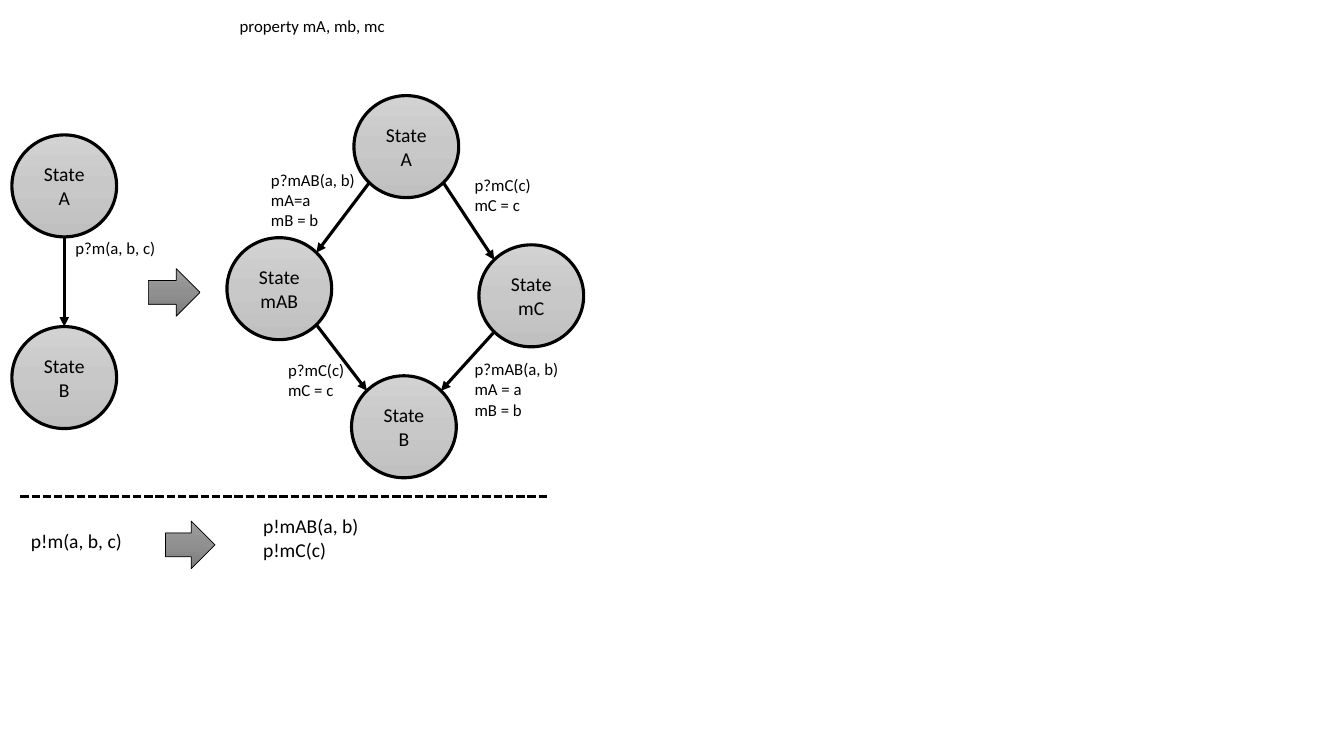
from copy import deepcopy
from math import cos, radians, sin

from lxml import etree
from pptx import Presentation
from pptx.dml.color import RGBColor
from pptx.enum.dml import MSO_LINE
from pptx.enum.shapes import MSO_CONNECTOR, MSO_SHAPE
from pptx.enum.text import MSO_ANCHOR, MSO_AUTO_SIZE, PP_ALIGN
from pptx.oxml.ns import qn
from pptx.util import Cm, Pt

OVAL = MSO_SHAPE.OVAL
ARROW = MSO_SHAPE.RIGHT_ARROW
STRAIGHT = MSO_CONNECTOR.STRAIGHT
DASH = MSO_LINE.SQUARE_DOT
MIDDLE = MSO_ANCHOR.MIDDLE
CENTER = PP_ALIGN.CENTER
GROW = MSO_AUTO_SIZE.SHAPE_TO_FIT_TEXT

FONT = "Calibri"
BLACK = "000000"
PALE = ("D2D2D2", "C8C8C8", "C0C0C0")
DARK = ("9D9D9D", "909090", "7C7C7C")
STATE_W, STATE_H = 2.64, 2.57

# Connection sites of an ellipse, counted anticlockwise from the top
TOP, TOP_LEFT, LOW_LEFT, BOTTOM, LOW_RIGHT, TOP_RIGHT = 0, 1, 3, 4, 5, 7


def paint(color, value):
    """Set a colour from a hex string."""
    color.rgb = RGBColor.from_string(value)


def shade(shape, colors):
    """Fill a shape with a downward gradient of three colours."""
    shape.fill.gradient()
    shape.fill.gradient_angle = 270
    stops = shape.element.spPr.find(".//" + qn("a:gsLst"))
    stops.insert(1, deepcopy(stops[0]))
    for stop, color, place in zip(shape.fill.gradient_stops, colors, (0, 0.5, 1)):
        paint(stop.color, color)
        stop.position = place


def style(frame, size):
    """Give all text of a frame its font, size and colour."""
    for para in frame.paragraphs:
        for run in para.runs:
            run.font.name = FONT
            run.font.size = Pt(size)
            paint(run.font.color, BLACK)


def add_solid(slide, kind, box, colors, weight):
    """Add a shaded shape with a black outline."""
    shape = slide.shapes.add_shape(kind, *map(Cm, box))
    shape.shadow.inherit = False
    shade(shape, colors)
    paint(shape.line.color, BLACK)
    shape.line.width = Pt(weight)
    return shape


def add_state(slide, name, left, top):
    """Add a state circle whose name wraps inside it."""
    state = add_solid(slide, OVAL, (left, top, STATE_W, STATE_H), PALE, 2.25)
    frame = state.text_frame
    frame.text = name
    frame.word_wrap = True
    frame.vertical_anchor = MIDDLE
    frame.paragraphs[0].alignment = CENTER
    style(frame, 14)
    return state


def add_label(slide, text, box, size=12):
    """Add an unwrapped label, one paragraph to each line of text."""
    frame = slide.shapes.add_textbox(*map(Cm, box)).text_frame
    frame.text = text
    frame.word_wrap = False
    frame.auto_size = GROW
    style(frame, size)


def add_line(slide, start, end, weight):
    """Add a plain black line between two points."""
    line = slide.shapes.add_connector(STRAIGHT, *start, *end)
    paint(line.line.color, BLACK)
    line.line.width = Pt(weight)
    etree.SubElement(line.element.spPr, qn("a:effectLst"))
    return line


def find_site(state, site):
    """Return the point of a connection site on a state circle."""
    angle = radians(90 + 45 * site)
    x = state.left + state.width / 2 * (1 + cos(angle))
    y = state.top + state.height / 2 * (1 - sin(angle))
    return round(x), round(y)


def add_step(slide, source, start, target, end):
    """Add an arrow glued to the sites of two states."""
    line = add_line(slide, find_site(source, start), find_site(target, end), 2.25)
    props = line.element.find(".//" + qn("p:cNvCxnSpPr"))
    for tag, state, site in (("a:stCxn", source, start), ("a:endCxn", target, end)):
        etree.SubElement(props, qn(tag), id=str(state.shape_id), idx=str(site))
    etree.SubElement(line.line._get_or_add_ln(), qn("a:tailEnd"), type="triangle")


def add_before(slide):
    """Draw the single transition on the left."""
    first = add_state(slide, "State A", 0.3, 3.4)
    last = add_state(slide, "State B", 0.3, 8.23)
    add_step(slide, first, BOTTOM, last, TOP)
    add_label(slide, "p?m(a, b, c)", (1.65, 5.87, 2.54, 0.76))


def add_after(slide):
    """Draw the diamond of split transitions."""
    first = add_state(slide, "State A", 8.92, 2.41)
    right = add_state(slide, "State mC", 12.07, 6.17)
    left = add_state(slide, "State mAB", 5.72, 5.99)
    last = add_state(slide, "State B", 8.86, 9.47)
    add_step(slide, first, LOW_LEFT, left, TOP_RIGHT)
    add_step(slide, left, LOW_RIGHT, last, TOP_LEFT)
    add_step(slide, right, LOW_LEFT, last, TOP_RIGHT)
    add_step(slide, first, LOW_RIGHT, right, TOP_LEFT)
    add_label(slide, "p?mAB(a, b)\nmA=a\nmB = b", (6.58, 4.14, 2.64, 1.8))
    add_label(slide, "p?mAB(a, b)\nmA = a\nmB = b", (11.71, 8.92, 2.64, 1.8))
    for left_edge, top in ((7.01, 8.94), (11.71, 4.27)):
        add_label(slide, "p?mC(c)\nmC = c", (left_edge, top, 1.93, 1.27))


def add_sends(slide):
    """Draw the send rule below the dashed line."""
    rule = add_line(slide, (Cm(0.51), Cm(12.52)), (Cm(13.79), Cm(12.52)), 2)
    rule.line.dash_style = DASH
    add_label(slide, "p!m(a, b, c)", (0.53, 13.21, 2.82, 0.86), 14)
    add_label(slide, "p!mAB(a, b)\np!mC(c)", (6.38, 12.83, 2.95, 1.45), 14)


def main():
    """Build and save the slide."""
    deck = Presentation()
    deck.slide_width, deck.slide_height = Cm(33.87), Cm(19.05)
    slide = deck.slides.add_slide(deck.slide_layouts[6])
    add_before(slide)
    add_after(slide)
    add_sends(slide)
    for box in ((3.74, 6.77, 1.3, 1.2), (4.17, 13.13, 1.25, 1.2)):
        add_solid(slide, ARROW, box, DARK, 0.5)
    add_label(slide, "property mA, mb, mc", (5.79, 0.28, 4.22, 0.76))
    deck.save("out.pptx")


main()
